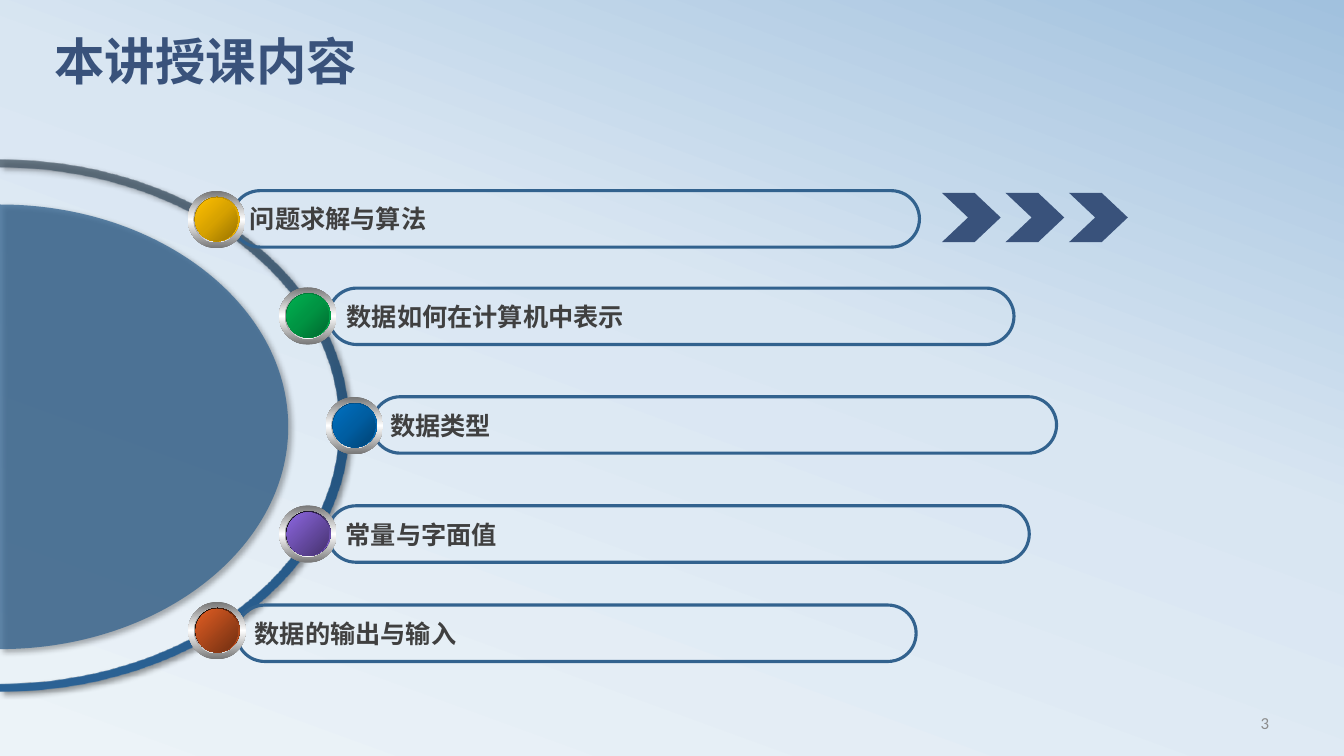
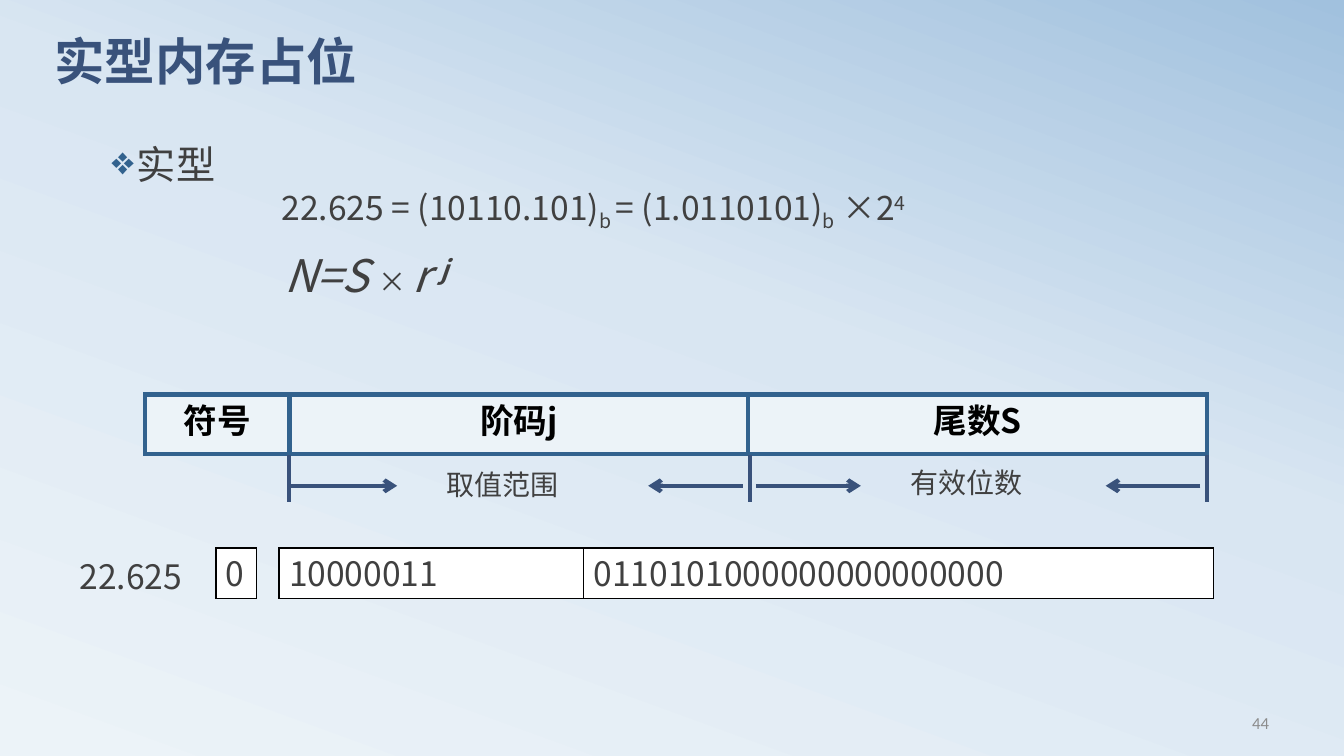
from dataclasses import dataclass
from itertools import accumulate

from lxml.etree import SubElement
from pptx import Presentation
from pptx.dml.color import RGBColor
from pptx.enum.shapes import MSO_CONNECTOR, MSO_SHAPE
from pptx.enum.text import MSO_ANCHOR, PP_ALIGN
from pptx.oxml.ns import qn
from pptx.util import Pt


@dataclass(frozen=True)
class Theme:
    latin: str = "Calibri"
    cjk: str = "Noto Sans CJK SC"
    navy: str = "39527B"
    blue: str = "32628E"
    pale: str = "ECF3F8"
    ink: str = "404040"
    grey: str = "8C8C8C"
    black: str = "000000"
    white: str = "FFFFFF"
    backdrop: tuple = ((0, "ECF3F8"), (58, "D9E6F2"), (100, "A1C1DE"))
    arc: tuple = ((0, "445462", 75), (50, "24537D"), (100, "2B6295"))
    rim: tuple = ("767676", "FFFFFF", "767676")
    bevel: tuple = ("A2A2A2", "FFFFFF", "A2A2A2")
    title_size: int = 36
    formula_size: int = 32
    body_size: int = 28
    value_size: int = 24
    label_size: int = 20
    small_size: int = 18
    page_size: int = 12


T = Theme()

YELLOW = ("977200", "D7A200", "FFC000")
GREEN = ("00682F", "009443", "00B050")
BLUE = ("004272", "005EA2", "0070C0")
PURPLE = ("8D67E1", "45326D")
ORANGE = ("E35E23", "6E2E11")

AGENDA_TITLE, AGENDA_PAGE = "本讲授课内容", "3"
AGENDA = [
    ("常量与字面值", (234, 361.3), 501.2, (199.5, 361), PURPLE),
    ("数据如何在计算机中表示", (234.7, 205.8), 489.6, (199.4, 205.2), GREEN),
    ("问题求解与算法", (165.6, 136.2), 491.2, (134.2, 136.4), YELLOW),
    ("数据类型", (265.7, 283.4), 489, (232.6, 283.6), BLUE),
    ("数据的输出与输入", (168.9, 432.2), 485.5, (134.5, 430), ORANGE),
]
PILL_HEIGHT = 40.3
DOT_LAYERS = [(0, 0, 41, 41), (4, 4.3, 33, 32.4), (5, 4.3, 31.7, 31.7), (5.3, 5, 30.2, 31)]
CHEVRONS = {"count": 3, "left": 672.8, "top": 137.7, "step": 45.4, "size": (42, 35.3)}
ARC_CENTRE, ARC_OUTER, ARC_INNER = 303.8, (249.1, 190.1), (241.9, 184.3)
DISC_CENTRE, DISC_RADII = 304.9, (205.9, 158.8)
ARC_PULL = 0.55

MEMORY_TITLE, MEMORY_PAGE = "实型内存占位", "44"
TOPIC = "实型"
EXPANSION = [
    ("22.625 = (10110.101)", {}),
    ("b ", {"baseline": -25}),
    ("= (1.0110101)", {}),
    ("b", {"baseline": -25}),
    (" ×2", {}),
    ("4", {"baseline": 30}),
]
FORMULA = [
    ("N=S ", {"italic": True}),
    ("× ", {"size": T.label_size}),
    ("r ", {"italic": True}),
    ("j", {"italic": True, "bold": True, "baseline": 30}),
]
FIELDS = [("符号", 103.3), ("阶码j", 327.6), ("尾数S", 327.6)]
FIELD_LEFT, FIELD_TOP, FIELD_HEIGHT = 103.6, 281.8, 42.5
TICKS = [206.7, 535.5, 862.2]
TICK_TOP, TICK_BOTTOM, ARROW_Y = 324.7, 358.6, 347
RANGES = [
    ("取值范围", (311.8, 329.8), [(208.1, 283.7), (530.6, 463)]),
    ("有效位数", (643.2, 329), [(540, 614.9), (857.5, 789.8)]),
]
STORED_NUMBER = "22.625"
BITS = [("0", 154.3, 28.8), ("10000011", 199.4, 217.5), ("0110101000000000000000", 416.9, 450)]
BITS_TOP, BITS_HEIGHT = 391.5, 36


def rgb(colour):
    return RGBColor.from_string(colour)


def apply(target, values):
    for name, value in values.items():
        setattr(target, name, value)


def add(parent, tag, **attributes):
    return SubElement(parent, qn(tag), {key: str(value) for key, value in attributes.items()})


def even(colours):
    return [(100 * i / (len(colours) - 1), colour) for i, colour in enumerate(colours)]


def gradient(fill, element, stops, angle=None):
    fill.gradient()
    grad = element.find(".//" + qn("a:gradFill"))
    stop_list, direction = grad.find(qn("a:gsLst")), grad.find(qn("a:lin"))
    for old in list(stop_list):
        stop_list.remove(old)
    for position, colour, *alpha in stops:
        stop = add(stop_list, "a:gs", pos=round(position * 1000))
        tone = add(stop, "a:srgbClr", val=colour)
        for value in alpha:
            add(tone, "a:alpha", val=value * 1000)
    if angle is None:
        grad.remove(direction)
        add(add(grad, "a:path", path="circle"), "a:fillToRect", l=100000, t=100000, r=0, b=0)
    else:
        direction.set("ang", str(angle * 60000))


def cast_shadow(shape):
    shape.shadow.inherit = False
    effects = shape._element.spPr.find(qn("a:effectLst"))
    shade = add(effects, "a:outerShdw", blurRad=Pt(4), dist=Pt(3), dir=45 * 60000,
                algn="tl", rotWithShape=0)
    add(add(shade, "a:srgbClr", val=T.black), "a:alpha", val=40000)


def write(frame, runs, size, colour=T.ink, bold=False, font=T.cjk, align=PP_ALIGN.LEFT,
          anchor=MSO_ANCHOR.MIDDLE, spacing=None):
    inset = Pt(0) if anchor == MSO_ANCHOR.MIDDLE else Pt(3.6)
    apply(frame, {"word_wrap": True, "vertical_anchor": anchor,
                  "margin_top": inset, "margin_bottom": inset})
    paragraph = frame.paragraphs[0]
    apply(paragraph, {"alignment": align, "line_spacing": spacing})
    for text, changes in [(runs, {})] if isinstance(runs, str) else runs:
        run = paragraph.add_run()
        run.text = text
        style = {"size": size, "bold": bold, "italic": False, "name": font, **changes}
        baseline = style.pop("baseline", 0)
        style["size"] = Pt(style["size"])
        run.font.color.rgb = rgb(colour)
        apply(run.font, style)
        properties = run._r.get_or_add_rPr()
        add(properties, "a:ea", typeface=T.cjk)
        if baseline:
            properties.set("baseline", str(baseline * 1000))
    return paragraph


def add_text(slide, area, runs, size, **style):
    return write(slide.shapes.add_textbox(*map(Pt, area)).text_frame, runs, size, **style)


def add_box(parent, kind, area, fill=None, line=None, width=1):
    shape = parent.shapes.add_shape(kind, *map(Pt, area))
    shape.shadow.inherit = False
    if fill:
        shape.fill.solid()
        shape.fill.fore_color.rgb = rgb(fill)
    else:
        shape.fill.background()
    if line:
        shape.line.color.rgb = rgb(line)
        shape.line.width = Pt(width)
        add(shape._element.spPr.find(qn("a:ln")), "a:miter", lim=800000)
    else:
        shape.line.fill.background()
    return shape


def add_line(slide, start, end, arrow=False):
    connector = slide.shapes.add_connector(MSO_CONNECTOR.STRAIGHT, *map(Pt, start + end))
    connector.line.color.rgb = rgb(T.navy)
    connector.line.width = Pt(3)
    if arrow:
        add(connector._element.spPr.find(qn("a:ln")), "a:tailEnd", type="arrow")
    add(connector._element.spPr, "a:effectLst")


def half_ellipse(centre, radii):
    across, down = radii
    return [(0, centre - down), (across, centre), (0, centre + down)]


def add_outline(slide, points, centre):
    builder = slide.shapes.build_freeform(*map(Pt, points[0]))
    builder.add_line_segments([tuple(map(Pt, point)) for point in points[1:]], close=True)
    shape = builder.convert_to_shape()
    top = min(y for _, y in points)
    segments = list(shape._element.iter(qn("a:lnTo")))
    for segment, start, end in zip(segments, points, points[1:]):
        across = max(start[0], end[0])
        if not across:
            continue
        curve = segment.makeelement(qn("a:cubicBezTo"), {})
        for x, y in (start, end):
            control = (across, centre) if x else (0, y)
            apex = end[1] if (x, y) == start else start[1]
            if x:
                control = (across, centre + ARC_PULL * (apex - centre))
            else:
                control = (ARC_PULL * across, y)
            add(curve, "a:pt", x=Pt(control[0]), y=Pt(control[1] - top))
        add(curve, "a:pt", x=Pt(end[0]), y=Pt(end[1] - top))
        segment.getparent().replace(segment, curve)
    shape.line.fill.background()
    cast_shadow(shape)
    return shape


def add_page(deck, title, number):
    slide = deck.slides.add_slide(deck.slide_layouts[5])
    heading = slide.shapes.title
    apply(heading, {"left": Pt(31.7), "top": Pt(26), "width": Pt(864), "height": Pt(67.7)})
    write(heading.text_frame, title, T.title_size, colour=T.navy, bold=True, font=T.latin,
          anchor=MSO_ANCHOR.TOP, spacing=0.8)
    add_text(slide, (689.7, 502, 224, 28.8), number, T.page_size, colour=T.grey, font=T.latin,
             align=PP_ALIGN.RIGHT)
    return slide


def add_dot(parent, corner, ramp):
    if len(ramp) == 3:
        edge, face_angle = ramp, None
    else:
        edge, face_angle = (T.black, ramp[0]), 45
    looks = [(T.rim, 90), (T.bevel, 0), (edge, 45), (ramp, face_angle)]
    for (dx, dy, width, height), (colours, angle) in zip(DOT_LAYERS, looks):
        layer = add_box(parent, MSO_SHAPE.OVAL, (corner[0] + dx, corner[1] + dy, width, height))
        gradient(layer.fill, layer._element, even(colours), angle)


def build_agenda(deck):
    slide = add_page(deck, AGENDA_TITLE, AGENDA_PAGE)
    ring = half_ellipse(ARC_CENTRE, ARC_INNER) + half_ellipse(ARC_CENTRE, ARC_OUTER)[::-1]
    arc = add_outline(slide, ring, ARC_CENTRE)
    gradient(arc.fill, arc._element, T.arc, 90)
    disc = add_outline(slide, half_ellipse(DISC_CENTRE, DISC_RADII), DISC_CENTRE)
    disc.fill.solid()
    disc.fill.fore_color.rgb = rgb(T.blue)
    add(disc._element.spPr.find(qn("a:solidFill"))[0], "a:alpha", val=75000)
    pointer = slide.shapes.add_group_shape()
    for i in range(CHEVRONS["count"]):
        left = CHEVRONS["left"] + i * CHEVRONS["step"]
        chevron = add_box(pointer, MSO_SHAPE.CHEVRON, (left, CHEVRONS["top"], *CHEVRONS["size"]),
                          fill=T.navy)
        chevron.adjustments[0] = 0.53
    for topic, corner, width, dot, ramp in AGENDA:
        entry = slide.shapes.add_group_shape()
        pill = add_box(entry, MSO_SHAPE.ROUNDED_RECTANGLE, (*corner, width, PILL_HEIGHT),
                       line=T.blue, width=2.25)
        pill.adjustments[0] = 0.5
        write(pill.text_frame, topic, T.small_size, bold=True)
        add_dot(entry, dot, ramp)


def build_memory(deck):
    slide = add_page(deck, MEMORY_TITLE, MEMORY_PAGE)
    topic = add_text(slide, (72.7, 100.8, 810, 351.4), TOPIC, T.body_size,
                     anchor=MSO_ANCHOR.TOP, spacing=0.9)
    bullet = topic._p.get_or_add_pPr()
    bullet.set("marL", str(Pt(18)))
    bullet.set("indent", str(-Pt(18)))
    add(add(bullet, "a:buClr"), "a:srgbClr", val=T.blue)
    add(bullet, "a:buSzPct", val=100000)
    add(bullet, "a:buChar", char="❖")

    edges = list(accumulate((width for _, width in FIELDS), initial=FIELD_LEFT))
    for (field, width), left in zip(FIELDS, edges):
        cell = add_box(slide, MSO_SHAPE.RECTANGLE, (left, FIELD_TOP, width, FIELD_HEIGHT),
                       fill=T.pale, line=T.blue, width=3)
        write(cell.text_frame, field, T.value_size, colour=T.black, bold=True,
              align=PP_ALIGN.CENTER, anchor=MSO_ANCHOR.TOP)
    add_text(slide, (194.1, 131.8, 495.4, 36), EXPANSION, T.value_size)
    add_text(slide, (196.2, 173.5, 198.7, 45.4), FORMULA, T.formula_size, anchor=MSO_ANCHOR.TOP)

    for x in TICKS:
        add_line(slide, (x, TICK_TOP), (x, TICK_BOTTOM))
    for caption, corner, arrows in RANGES:
        for start, end in arrows:
            add_line(slide, (start, ARROW_Y), (end, ARROW_Y), arrow=True)
        add_text(slide, (*corner, 96, 31.7), caption, T.label_size)

    for bits, left, width in BITS:
        cell = add_box(slide, MSO_SHAPE.RECTANGLE, (left, BITS_TOP, width, BITS_HEIGHT),
                       fill=T.white, line=T.black)
        write(cell.text_frame, bits, T.value_size)
    add_text(slide, (49.7, 393.4, 91.4, BITS_HEIGHT), STORED_NUMBER, T.value_size)


def main():
    deck = Presentation()
    apply(deck, {"slide_width": Pt(960), "slide_height": Pt(540)})
    master = deck.slide_master
    gradient(master.background.fill, master._element, T.backdrop, 290)
    build_agenda(deck)
    build_memory(deck)
    deck.save("out.pptx")


if __name__ == "__main__":
    main()
